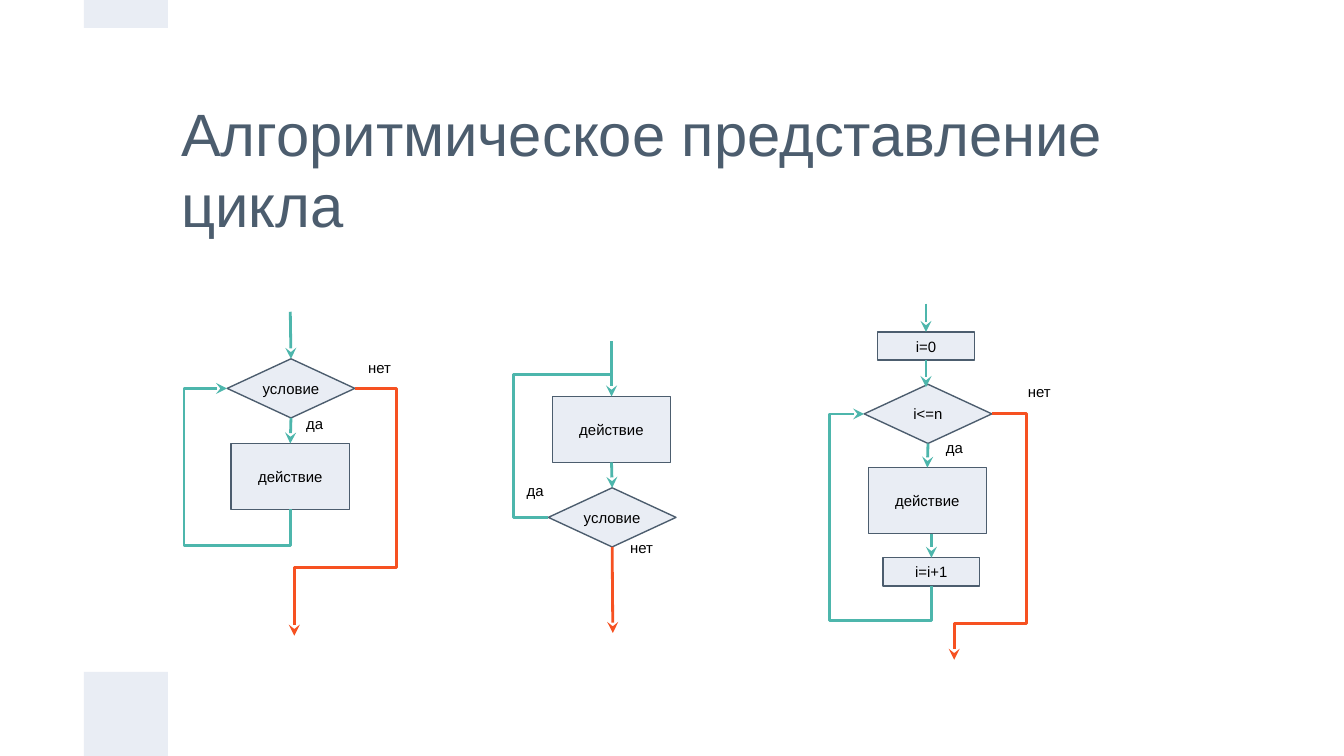
from pptx import Presentation
from pptx.dml.color import RGBColor
from pptx.enum.shapes import MSO_CONNECTOR as CONN, MSO_SHAPE as SHAPE
from pptx.enum.text import MSO_ANCHOR as ANCHOR, MSO_AUTO_SIZE as FIT, PP_ALIGN as ALIGN
from pptx.oxml.ns import qn
from pptx.util import Inches, Pt
from lxml.etree import SubElement

THEME = {
    "font": "Arial", "title_size": 32, "label_size": 8,
    "title": "4C5D6E", "text": "000000", "panel": "E9EDF4", "outline": "4C5D6E",
    "flow": "4DB6AC", "exit": "F65121", "outline_width": 0.75, "flow_width": 1.5,
}
TOP, LEFT, BOTTOM, RIGHT = range(4)

WIDTH = 10
UNIT = WIDTH / 16
TITLE = ("Алгоритмическое представление цикла", (2 * UNIT, UNIT, 12 * UNIT, 2 * UNIT))
BARS = [(UNIT, 8 * UNIT, UNIT, UNIT), (UNIT, 0, UNIT, UNIT / 3)]

KINDS = {
    "decision": (SHAPE.FLOWCHART_DECISION, 0.95, 0.44),
    "process": (SHAPE.FLOWCHART_PROCESS, 0.88, 0.49),
    "counter": (SHAPE.RECTANGLE, 0.72, 0.21),
}
NODES = {
    "while_test": ("decision", 1.69, 2.67, "условие"),
    "while_body": ("process", 1.72, 3.3, "действие"),
    "until_body": ("process", 4.11, 2.95, "действие"),
    "until_test": ("decision", 4.08, 3.63, "условие"),
    "for_start": ("counter", 6.53, 2.47, "i=0"),
    "for_test": ("decision", 6.43, 2.86, "i<=n"),
    "for_body": ("process", 6.46, 3.48, "действие"),
    "for_step": ("counter", 6.57, 4.15, "i=i+1"),
}
LABELS = [
    ("нет", 2.64, 2.6), ("да", 2.18, 3.02),
    ("да", 3.82, 3.52), ("нет", 4.59, 3.94),
    ("нет", 7.55, 2.78), ("да", 6.94, 3.2),
]
ARROWS = [
    ((2.16, 2.32), ("while_test", TOP), "flow"),
    (("while_test", BOTTOM), ("while_body", TOP), "flow"),
    ((4.55, 2.54), ("until_body", TOP), "flow"),
    (("until_body", BOTTOM), ("until_test", TOP), "flow"),
    (("until_test", BOTTOM), (4.56, 4.71), "exit"),
    ((6.89, 2.26), ("for_start", TOP), "flow"),
    (("for_start", BOTTOM), (6.89, 2.88), "flow"),
    (("for_test", BOTTOM), ("for_body", TOP), "flow"),
    ((6.93, 3.97), ("for_step", TOP), "flow"),
]
ELBOWS = [
    (("while_body", BOTTOM), ("while_test", LEFT), (1.37, 4.06), "flow", True),
    (("while_test", RIGHT), (2.19, 4.73), (2.95, 4.22), "exit", True),
    (("until_test", LEFT), (4.55, 2.79), (3.82, 2.79), "flow", False),
    (("for_step", BOTTOM), ("for_test", LEFT), (6.17, 4.62), "flow", True),
    (("for_test", RIGHT), (7.1, 4.91), (7.64, 4.64), "exit", True),
]


def color(name):
    return RGBColor.from_string(THEME[name])


def write(s, text, size, ink, inset, anchor, align, wrap):
    tf = s.text_frame
    tf.word_wrap = wrap
    tf.vertical_anchor = anchor
    tf.margin_left = tf.margin_right = tf.margin_top = tf.margin_bottom = Inches(inset)
    p = tf.paragraphs[0]
    p.alignment = align
    r = p.add_run()
    r.text = text
    r.font.name = THEME["font"]
    r.font.size = Pt(THEME[size])
    r.font.color.rgb = color(ink)


def add_panel(sp, kind, box, outlined):
    s = sp.add_shape(kind, *map(Inches, box))
    s.shadow.inherit = False
    s.fill.solid()
    s.fill.fore_color.rgb = color("panel")
    if outlined:
        s.line.color.rgb = color("outline")
        s.line.width = Pt(THEME["outline_width"])
    else:
        s.line.fill.background()
    return s


def locate(end, nodes):
    if not isinstance(end[0], str):
        return tuple(map(Inches, end))
    s, site = nodes[end[0]], end[1]
    dx, dy = [(0.5, 0), (0, 0.5), (0.5, 1), (1, 0.5)][site]
    return int(s.left + s.width * dx), int(s.top + s.height * dy)


def add_link(sp, kind, start, end, ink, arrow, nodes):
    c = sp.add_connector(kind, *locate(start, nodes), *locate(end, nodes))
    for point, join in ((start, c.begin_connect), (end, c.end_connect)):
        if isinstance(point[0], str):
            join(nodes[point[0]], point[1])
    c.line.color.rgb = color(ink)
    c.line.width = Pt(THEME["flow_width"])
    if arrow:
        SubElement(c.line._get_or_add_ln(), qn("a:tailEnd"), type="stealth")
    SubElement(c._element.spPr, qn("a:effectLst"))
    return c


def bend(c, start, end, corner, vertical_first):
    (x1, y1), (x2, y2), (cx, cy) = start, end, corner
    ratios = [(cx - x1) / (x2 - x1), (cy - y1) / (y2 - y1)]
    if vertical_first:
        ratios.reverse()
        width, height = abs(y2 - y1), abs(x2 - x1)
        c.left, c.top = (x1 + x2 - width) // 2, (y1 + y2 - height) // 2
        c.width, c.height = width, height
        xfrm = c._element.spPr.find(qn("a:xfrm"))
        xfrm.set("rot", str(90 * 60000))
        xfrm.set("flipH", "1")
        xfrm.set("flipV", "0")
    geom = c._element.spPr.find(qn("a:prstGeom"))
    geom.set("prst", "bentConnector4")
    guides = geom.find(qn("a:avLst"))
    if guides is None:
        guides = SubElement(geom, qn("a:avLst"))
    for i, ratio in enumerate(ratios, 1):
        SubElement(guides, qn("a:gd"), name=f"adj{i}", fmla=f"val {round(ratio * 100000)}")


def main():
    prs = Presentation()
    prs.slide_width, prs.slide_height = Inches(WIDTH), Inches(9 * UNIT)
    sp = prs.slides.add_slide(prs.slide_layouts[6]).shapes

    for box in BARS:
        add_panel(sp, SHAPE.RECTANGLE, box, False)

    text, box = TITLE
    write(sp.add_textbox(*map(Inches, box)), text, "title_size", "title",
          0.1, ANCHOR.MIDDLE, ALIGN.LEFT, True)

    nodes = {}
    for name, (kind, x, y, text) in NODES.items():
        shape, w, h = KINDS[kind]
        nodes[name] = add_panel(sp, shape, (x, y, w, h), True)
        write(nodes[name], text, "label_size", "text", 0, ANCHOR.MIDDLE, ALIGN.CENTER, False)

    for start, end, ink in ARROWS:
        add_link(sp, CONN.STRAIGHT, start, end, ink, True, nodes)

    for start, end, corner, ink, arrow in ELBOWS:
        c = add_link(sp, CONN.ELBOW, start, end, ink, arrow, nodes)
        vertical_first = start[1] == BOTTOM
        bend(c, locate(start, nodes), locate(end, nodes),
             tuple(map(Inches, corner)), vertical_first)

    for text, x, y in LABELS:
        s = sp.add_textbox(*map(Inches, (x, y, 0.43, 0.2)))
        write(s, text, "label_size", "text", 0.1, ANCHOR.TOP, ALIGN.LEFT, True)
        s.text_frame.auto_size = FIT.SHAPE_TO_FIT_TEXT

    prs.save("out.pptx")


if __name__ == "__main__":
    main()
